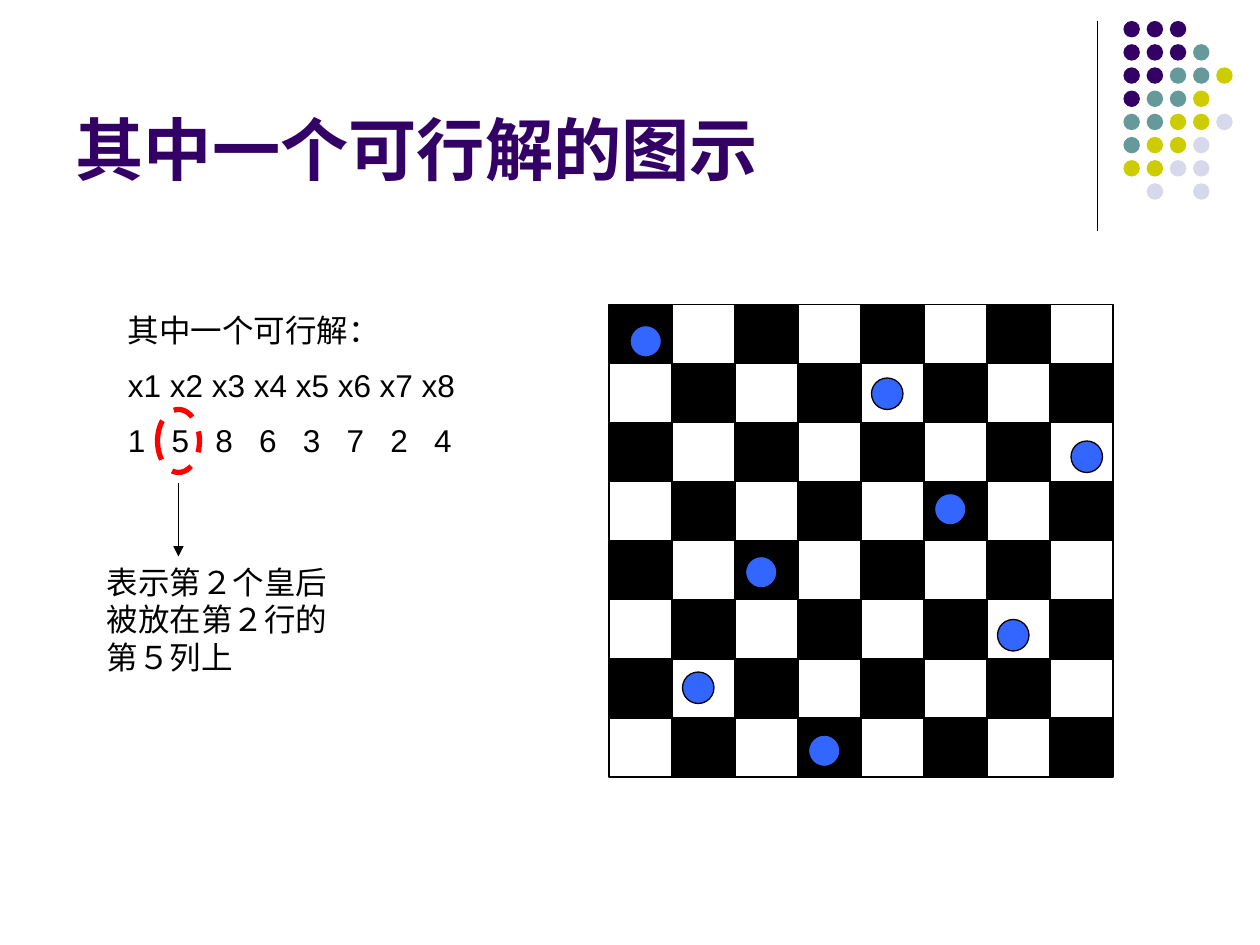
from dataclasses import dataclass

from lxml import etree
from pptx import Presentation
from pptx.dml.color import RGBColor
from pptx.enum.dml import MSO_LINE
from pptx.enum.shapes import MSO_CONNECTOR, MSO_SHAPE
from pptx.enum.text import MSO_ANCHOR, MSO_AUTO_SIZE, PP_ALIGN
from pptx.oxml.ns import qn
from pptx.shapes.autoshape import Shape
from pptx.shapes.shapetree import GroupShapes, SlideShapes
from pptx.util import Pt

OVAL, RECT = MSO_SHAPE.OVAL, MSO_SHAPE.RECTANGLE
STRAIGHT = MSO_CONNECTOR.STRAIGHT
DASH = MSO_LINE.DASH
BOTTOM, LEFT = MSO_ANCHOR.BOTTOM, PP_ALIGN.LEFT
NO_FIT, GROW = MSO_AUTO_SIZE.NONE, MSO_AUTO_SIZE.SHAPE_TO_FIT_TEXT


@dataclass(frozen=True)
class Theme:
    """Colours, font, type sizes and line widths of the slide."""
    font: str = "Arial"
    title_size: float = 39
    body_size: float = 18
    paragraph_gap: float = 10
    thin: float = 0.75
    thick: float = 3
    black: str = "000000"
    white: str = "FFFFFF"
    purple: str = "330066"
    teal: str = "669999"
    olive: str = "CCCC00"
    lavender: str = "D8D8EC"
    red: str = "FF0000"
    blue: str = "3366FF"


@dataclass(frozen=True)
class Box:
    """Left, top, width and height in points."""
    left: float
    top: float
    width: float
    height: float

    def lengths(self) -> tuple[Pt, Pt, Pt, Pt]:
        """Return the four values as lengths."""
        return Pt(self.left), Pt(self.top), Pt(self.width), Pt(self.height)


@dataclass(frozen=True)
class Queen:
    """Column of a queen and its sideways shift in points."""
    column: int
    shift: float = 0


THEME = Theme()
TITLE_BOX = Box(36, 9.5, 594, 102)
BOARD = Box(348, 174, 288, 270)
BOARD_SIDE = 8
CELL_WIDTH = BOARD.width / BOARD_SIDE
CELL_HEIGHT = BOARD.height / BOARD_SIDE
QUEENS = [Queen(0, 6), Queen(4), Queen(7, 6), Queen(5),
          Queen(2), Queen(6), Queen(1), Queen(3)]
QUEEN_SIZE = 18
SNAP = 6
DOT_ROWS = ["PPP", "PPPT", "PPTTO", "PTTO", "TTOOL", "TOOL", "OOLL", " L L"]
DOT_COLORS = {"P": THEME.purple, "T": THEME.teal,
              "O": THEME.olive, "L": THEME.lavender}
DOT_PITCH, DOT_SIZE = 13.25, 9.4
VALUE_PITCH = 25
SOLUTION = ["其中一个可行解：", "x1 x2 x3 x4 x5 x6 x7 x8",
            "\t".join(str(queen.column + 1) for queen in QUEENS)]
EXPLANATION = ["表示第２个皇后被放在第２行的第５列上"]


def apply_format(target: object, values: dict) -> None:
    """Set each named attribute on the target."""
    for name, value in values.items():
        setattr(target, name, value)


def draw_shape(shapes: GroupShapes, kind: MSO_SHAPE, box: Box,
               fill: str | None = None, line: str | None = None,
               width: float = THEME.thin) -> Shape:
    """Draw a preset shape with an optional fill and outline."""
    shape = shapes.add_shape(kind, *box.lengths())
    shape.shadow.inherit = False
    for paint, color in ((shape.fill, fill), (shape.line.fill, line)):
        if color:
            paint.solid()
            paint.fore_color.rgb = RGBColor.from_string(color)
        else:
            paint.background()
    if line:
        shape.line.width = Pt(width)
    return shape


def draw_line(shapes: GroupShapes | SlideShapes, x: float, top: float,
              bottom: float, arrow: bool = False) -> None:
    """Draw a thin vertical line, with an arrowhead below if wanted."""
    rule = shapes.add_connector(STRAIGHT, Pt(x), Pt(top), Pt(x), Pt(bottom))
    rule.line.width = Pt(THEME.thin)
    rule.line.color.rgb = RGBColor.from_string(THEME.black)
    if arrow:
        etree.SubElement(rule.line._get_or_add_ln(), qn("a:tailEnd"), type="triangle")
    etree.SubElement(rule._element.spPr, qn("a:effectLst"))


def write_text(shape: Shape, lines: list[str], frame_format: dict,
               font_format: dict, color: str) -> None:
    """Fill a text shape with left-aligned paragraphs."""
    frame = shape.text_frame
    apply_format(frame, {"word_wrap": True, **frame_format})
    frame.text = "\n".join(lines)
    for index, paragraph in enumerate(frame.paragraphs):
        gap = Pt(THEME.paragraph_gap) if index else Pt(0)
        apply_format(paragraph, {"alignment": LEFT, "space_before": gap})
        font = paragraph.runs[0].font
        apply_format(font, {"name": THEME.font, **font_format})
        font.color.rgb = RGBColor.from_string(color)
        tab_count = lines[index].count("\t")
        if tab_count:
            stops = etree.SubElement(paragraph._p.get_or_add_pPr(), qn("a:tabLst"))
            for stop in range(1, tab_count + 1):
                etree.SubElement(stops, qn("a:tab"),
                                 pos=str(Pt(stop * VALUE_PITCH)), algn="l")


def draw_text(shapes: GroupShapes | SlideShapes, box: Box, lines: list[str]) -> None:
    """Draw a body text box."""
    write_text(shapes.add_textbox(*box.lengths()), lines, {"auto_size": GROW},
               {"size": Pt(THEME.body_size)}, THEME.black)


def draw_dots(shapes: GroupShapes) -> None:
    """Draw the corner ornament."""
    for row, codes in enumerate(DOT_ROWS):
        for column, code in enumerate(codes):
            if code in DOT_COLORS:
                box = Box(642 + column * DOT_PITCH, 12 + row * DOT_PITCH,
                          DOT_SIZE, DOT_SIZE)
                draw_shape(shapes, OVAL, box, DOT_COLORS[code])


def draw_board(shapes: GroupShapes) -> None:
    """Draw the chessboard cells."""
    for row in range(BOARD_SIDE):
        for column in range(BOARD_SIDE):
            box = Box(BOARD.left + column * CELL_WIDTH,
                      BOARD.top + row * CELL_HEIGHT, CELL_WIDTH, CELL_HEIGHT)
            fill = THEME.white if (row + column) % 2 else THEME.black
            draw_shape(shapes, RECT, box, fill, THEME.black)


def draw_queens(shapes: GroupShapes) -> None:
    """Draw one queen per row, with tops snapped to a fixed step."""
    for row, queen in enumerate(QUEENS):
        left = BOARD.left + SNAP + queen.column * CELL_WIDTH + queen.shift
        top = (BOARD.top + 2 * SNAP + row * CELL_HEIGHT) // SNAP * SNAP
        draw_shape(shapes, OVAL, Box(left, top, QUEEN_SIZE, QUEEN_SIZE),
                   THEME.blue, THEME.black)


def draw_explanation(shapes: GroupShapes) -> None:
    """Ring the second value and explain it below."""
    ring = draw_shape(shapes, OVAL, Box(90, 234, 24, 36),
                      line=THEME.red, width=THEME.thick)
    ring.line.dash_style = DASH
    draw_line(shapes, 102, 276, 318, arrow=True)
    draw_text(shapes, Box(54, 318, 150, 72), EXPLANATION)


def main() -> None:
    """Build the slide and save it."""
    deck = Presentation()
    apply_format(deck, {"slide_width": Pt(720), "slide_height": Pt(540)})
    shapes = deck.slides.add_slide(deck.slide_layouts[5]).shapes
    title = shapes.title
    apply_format(title, dict(zip(("left", "top", "width", "height"),
                                 TITLE_BOX.lengths())))
    write_text(title, ["其中一个可行解的图示"],
               {"vertical_anchor": BOTTOM, "auto_size": NO_FIT},
               {"size": Pt(THEME.title_size), "bold": True}, THEME.purple)
    draw_line(shapes, 627, 12, 132)
    draw_dots(shapes.add_group_shape().shapes)
    draw_board(shapes.add_group_shape().shapes)
    draw_text(shapes, Box(66, 174, 210, 93.6), SOLUTION)
    draw_explanation(shapes.add_group_shape().shapes)
    draw_queens(shapes.add_group_shape().shapes)
    deck.save("out.pptx")


if __name__ == "__main__":
    main()
